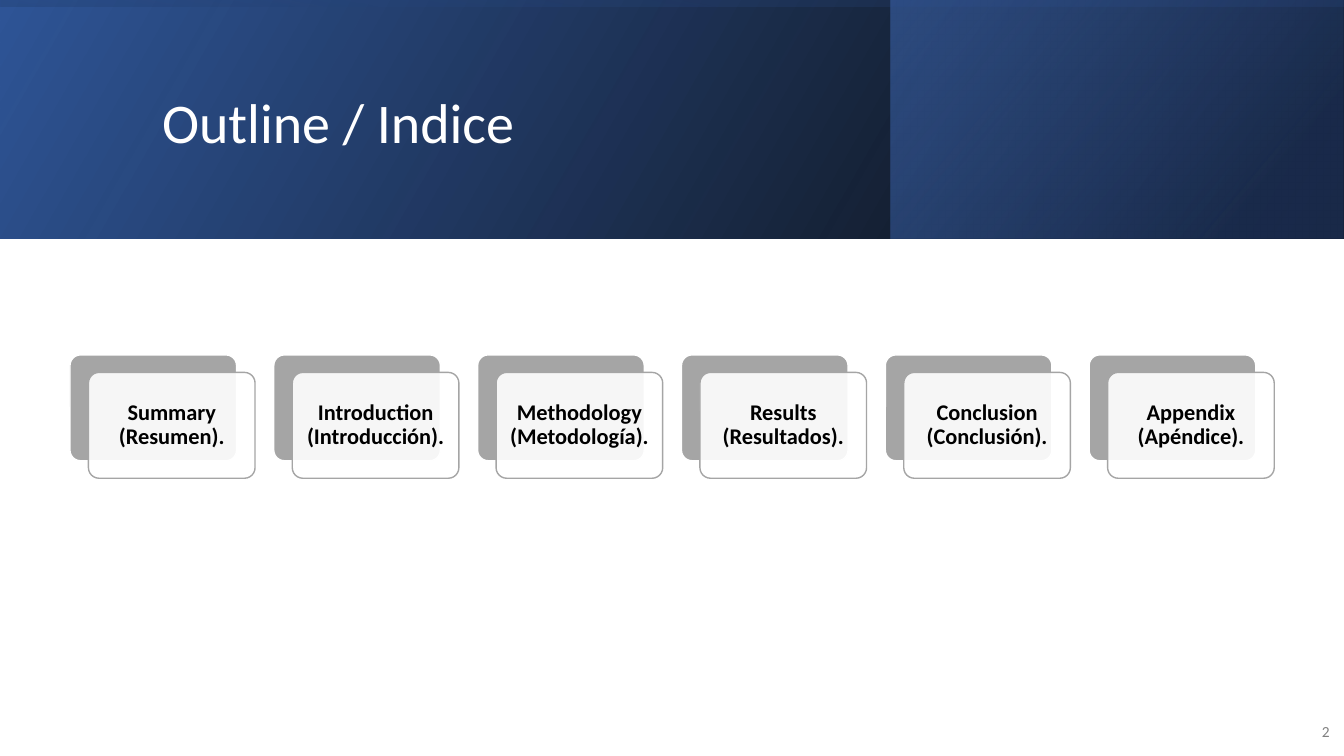
"""Build the outline slide with a gradient header and six section cards."""
from dataclasses import dataclass

from lxml.etree import SubElement
from pptx import Presentation
from pptx.dml.color import RGBColor
from pptx.enum.shapes import MSO_SHAPE
from pptx.enum.text import MSO_ANCHOR, PP_ALIGN
from pptx.oxml.ns import qn
from pptx.shapes.autoshape import Shape
from pptx.slide import Slide
from pptx.util import Pt

COLORS = {
    "white": "FFFFFF",
    "black": "000000",
    "gray": "A5A5A5",
    "page": "808080",
    "blue": "2F5597",
    "navy": "203864",
    "sky": "4472C4",
}
FONT = "Calibri"


@dataclass(frozen=True)
class Box:
    left: float
    top: float
    width: float
    height: float

    def shifted(self, dx: float, dy: float) -> "Box":
        return Box(self.left + dx, self.top + dy, self.width, self.height)

    def inset(self, margin: float) -> "Box":
        return Box(self.left + margin, self.top + margin,
                   self.width - 2 * margin, self.height - 2 * margin)

    def lengths(self) -> tuple[Pt, Pt, Pt, Pt]:
        return Pt(self.left), Pt(self.top), Pt(self.width), Pt(self.height)


@dataclass(frozen=True)
class Stop:
    position: float
    color: str
    opacity: int


@dataclass(frozen=True)
class Band:
    box: Box
    stops: tuple[Stop, Stop]
    angle: float
    rotation: float = 0


@dataclass(frozen=True)
class Label:
    text: str
    box: Box
    size: float
    color: str
    align: PP_ALIGN = PP_ALIGN.LEFT
    bold: bool = False
    line_spacing: float = 1.0
    space_after: float = 6
    margin: float | None = None


BANDS = (
    Band(Box(0, 0, 960, 170.6),
         (Stop(0, "black", 96), Stop(1, "blue", 100)), 30),
    Band(Box(636.5, 0, 322.9, 170.6),
         (Stop(0.19, "navy", 68), Stop(1, "sky", 48)), 40),
    Band(Box(394.7, -394.7, 170.6, 960),
         (Stop(0.23, "blue", 16), Stop(0.99, "black", 45)), 10, 270),
)
TITLE = Label("Outline / Indice", Box(108.7, 27.4, 765.4, 123.8), 40, "white",
              line_spacing=0.9)
PAGE_NUMBER = Label("2", Box(921.6, 508.3, 35.3, 28.8), 11, "page", PP_ALIGN.RIGHT)
SECTIONS = (
    "Summary (Resumen).",
    "Introduction (Introducción).",
    "Methodology (Metodología).",
    "Results (Resultados).",
    "Conclusion (Conclusión).",
    "Appendix (Apéndice).",
)
FIRST_BACKING = Box(50, 253.5, 119, 75.6)
SECTION_PITCH = 145.6
CARD_SHIFT = (13.2, 12.5)


def rgb(name: str) -> RGBColor:
    return RGBColor.from_string(COLORS[name])


def set_opacity(shape: Shape, *percents: int) -> None:
    for color, percent in zip(shape.element.spPr.iter(qn("a:srgbClr")), percents):
        SubElement(color, qn("a:alpha"), val=str(percent * 1000))


def draw_band(slide: Slide, band: Band) -> None:
    header = slide.shapes.add_shape(MSO_SHAPE.RECTANGLE, *band.box.lengths())
    header.shadow.inherit = False
    header.line.fill.background()
    header.rotation = band.rotation
    header.element.spPr.xfrm.set("flipH", "1")
    header.fill.gradient()
    header.fill.gradient_angle = band.angle
    for target, stop in zip(header.fill.gradient_stops, band.stops):
        target.position = stop.position
        target.color.rgb = rgb(stop.color)
    set_opacity(header, *(stop.opacity for stop in band.stops))


def draw_card(slide: Slide, box: Box, fill: str, line: str) -> Shape:
    card = slide.shapes.add_shape(MSO_SHAPE.ROUNDED_RECTANGLE, *box.lengths())
    card.shadow.inherit = False
    card.adjustments[0] = 0.1
    card.fill.solid()
    card.fill.fore_color.rgb = rgb(fill)
    card.line.color.rgb = rgb(line)
    card.line.width = Pt(1)
    return card


def draw_label(slide: Slide, label: Label) -> None:
    frame = slide.shapes.add_textbox(*label.box.lengths()).text_frame
    frame.word_wrap = True
    frame.vertical_anchor = MSO_ANCHOR.MIDDLE
    if label.margin is not None:
        frame.margin_left = frame.margin_right = Pt(label.margin)
        frame.margin_top = frame.margin_bottom = Pt(label.margin)
    paragraph = frame.paragraphs[0]
    paragraph.alignment = label.align
    paragraph.line_spacing = label.line_spacing
    paragraph.space_after = Pt(label.space_after)
    run = paragraph.add_run()
    run.text = label.text
    run.font.name = FONT
    run.font.size = Pt(label.size)
    run.font.bold = label.bold
    run.font.color.rgb = rgb(label.color)


def draw_section(slide: Slide, index: int, name: str) -> None:
    backing = FIRST_BACKING.shifted(index * SECTION_PITCH, 0)
    front = backing.shifted(*CARD_SHIFT)
    draw_card(slide, backing, "gray", "white")
    set_opacity(draw_card(slide, front, "white", "gray"), 90)
    draw_label(slide, Label(name, front.inset(2.2), 16, "black", PP_ALIGN.CENTER,
                            True, 0.9, 5.6, 5))


def main() -> None:
    deck = Presentation()
    deck.slide_width, deck.slide_height = Pt(960), Pt(540)
    slide = deck.slides.add_slide(deck.slide_layouts[6])
    for band in BANDS:
        draw_band(slide, band)
    draw_label(slide, TITLE)
    draw_label(slide, PAGE_NUMBER)
    for index, name in enumerate(SECTIONS):
        draw_section(slide, index, name)
    deck.save("out.pptx")


if __name__ == "__main__":
    main()
